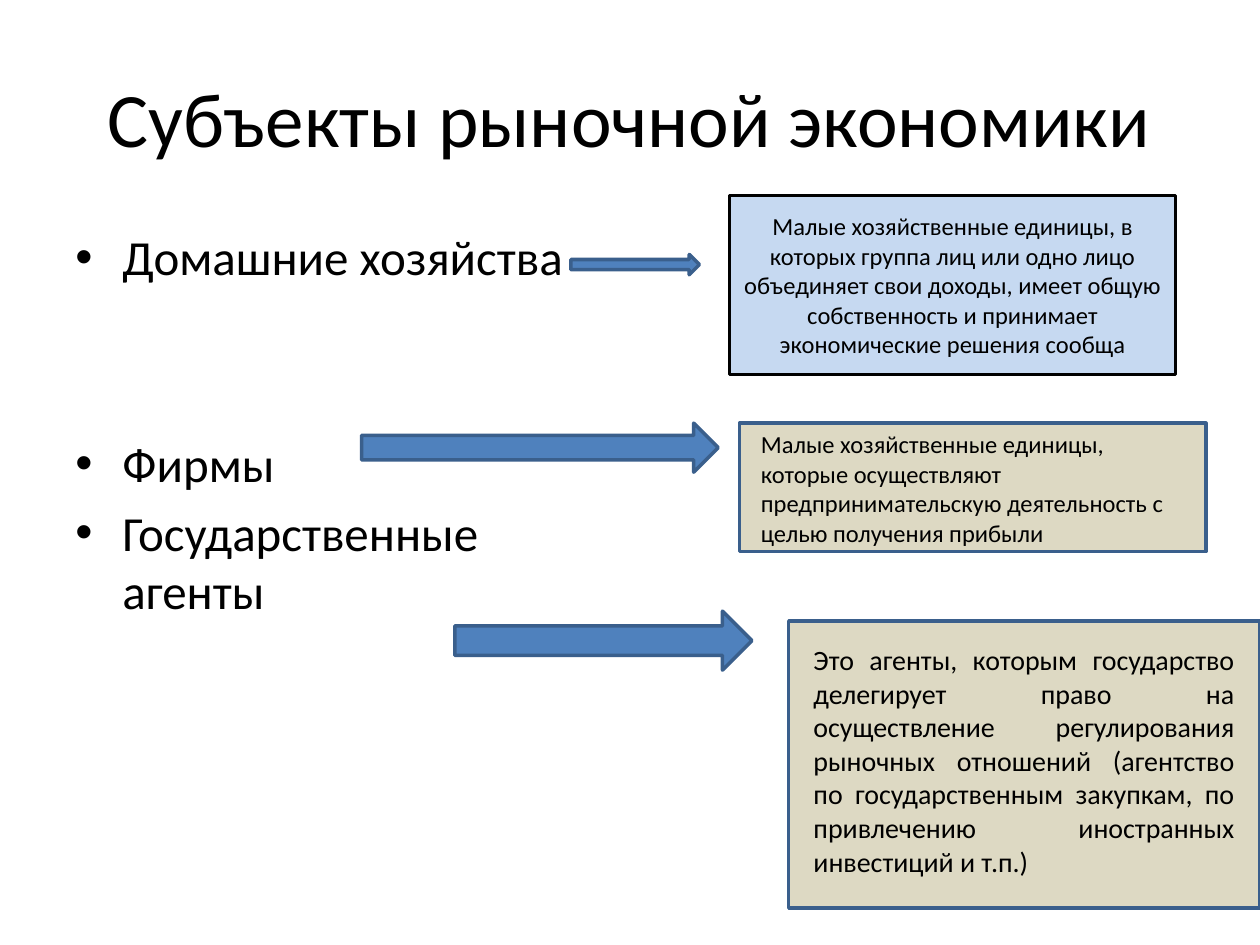
from pptx import Presentation
from pptx.dml.color import RGBColor
from pptx.enum.shapes import MSO_SHAPE as Shape
from pptx.enum.text import MSO_ANCHOR as Anchor, MSO_AUTO_SIZE as Fit, PP_ALIGN as Align
from pptx.oxml.ns import qn
from pptx.util import Cm, Pt
from lxml import etree

# Content: lengths in centimetres, boxes as left, top, width, height
TITLE = "Субъекты рыночной экономики"
TITLE_AT = (1.27, 0.76, 22.86, 3.18)
LIST_AT = (1.27, 4.45, 11.23, 12.57)
INDENT = 0.95
AGENTS = [  # name, space before in points
    ("Домашние хозяйства", 0),
    ("Фирмы", 84.4),
    ("Государственные агенты", 5.6),
]
HOMES = ("Малые хозяйственные единицы, в которых группа лиц или одно лицо "
         "объединяет свои доходы, имеет общую собственность и принимает "
         "экономические решения сообща")
FIRMS = ("Малые хозяйственные единицы, которые осуществляют "
         "предпринимательскую деятельность с целью получения прибыли")
STATE = ("Это агенты, которым государство делегирует право на осуществление "
         "регулирования рыночных отношений (агентство по государственным "
         "закупкам, по привлечению иностранных инвестиций и т.п.)")
BLUE, EDGE, SKY, SAND, BLACK = "4F81BD", "3A5F8C", "C6D9F1", "DDD9C3", "000000"
ROWS = [  # arrow, box, box fill, box line, text area (None: in the box), text, format
    ((11.51, 5.13, 2.59, 0.41), (14.71, 3.94, 8.99, 3.61), SKY, BLACK,
     None, HOMES, dict(size=14, align=Align.CENTER)),
    ((7.29, 8.53, 7.19, 0.99), (14.91, 8.53, 9.4, 2.59), SAND, EDGE,
     (15.09, 8.53, 8.99, 2.64), FIRMS, dict(size=14)),
    ((9.17, 12.32, 5.99, 1.19), (15.9, 12.52, 9.5, 5.79), SAND, EDGE,
     (16.15, 12.83, 8.99, 5.05), STATE, dict(size=16, align=Align.JUSTIFY)),
]


def color(code):
    return RGBColor.from_string(code)


def cm(at):
    return [Cm(n) for n in at]


def write(par, text, size, align=Align.LEFT, before=0, bullet=False):
    if bullet:
        props = par._p.get_or_add_pPr()
        props.set("marL", str(Cm(INDENT)))
        props.set("indent", str(-Cm(INDENT)))
        etree.SubElement(props, qn("a:buFont")).set("typeface", "Arial")
        etree.SubElement(props, qn("a:buChar")).set("char", "•")
    par.alignment = align
    par.space_before = Pt(before)
    run = par.add_run()
    run.text = text
    run.font.size = Pt(size)
    run.font.name = "Calibri"
    run.font.color.rgb = color(BLACK)


def draw(kind, at, fill, line):
    shape = slide.shapes.add_shape(kind, *cm(at))
    shape.shadow.inherit = False
    shape.fill.solid()
    shape.fill.fore_color.rgb = color(fill)
    shape.line.color.rgb = color(line)
    shape.line.width = Pt(2)
    return shape


def area(at):
    frame = slide.shapes.add_textbox(*cm(at)).text_frame
    frame.word_wrap = True
    return frame


deck = Presentation()
deck.slide_width, deck.slide_height = Cm(25.4), Cm(19.05)
slide = deck.slides.add_slide(deck.slide_layouts[5])

# Title
title = slide.shapes.title
title.left, title.top, title.width, title.height = cm(TITLE_AT)
title.text_frame.vertical_anchor = Anchor.MIDDLE
write(title.text_frame.paragraphs[0], TITLE, 44, Align.CENTER)

# List of agents
frame = area(LIST_AT)
for i, (name, gap) in enumerate(AGENTS):
    par = frame.add_paragraph() if i else frame.paragraphs[0]
    write(par, name, 28, before=gap, bullet=True)

# Arrows and definitions
for arrow, box, fill, line, inner, text, style in ROWS:
    draw(Shape.RIGHT_ARROW, arrow, BLUE, EDGE)
    frame = draw(Shape.RECTANGLE, box, fill, line).text_frame
    if inner:
        frame = area(inner)
        frame.auto_size = Fit.SHAPE_TO_FIT_TEXT
    else:
        frame.word_wrap = True
        frame.vertical_anchor = Anchor.MIDDLE
    write(frame.paragraphs[0], text, **style)

deck.save("out.pptx")
